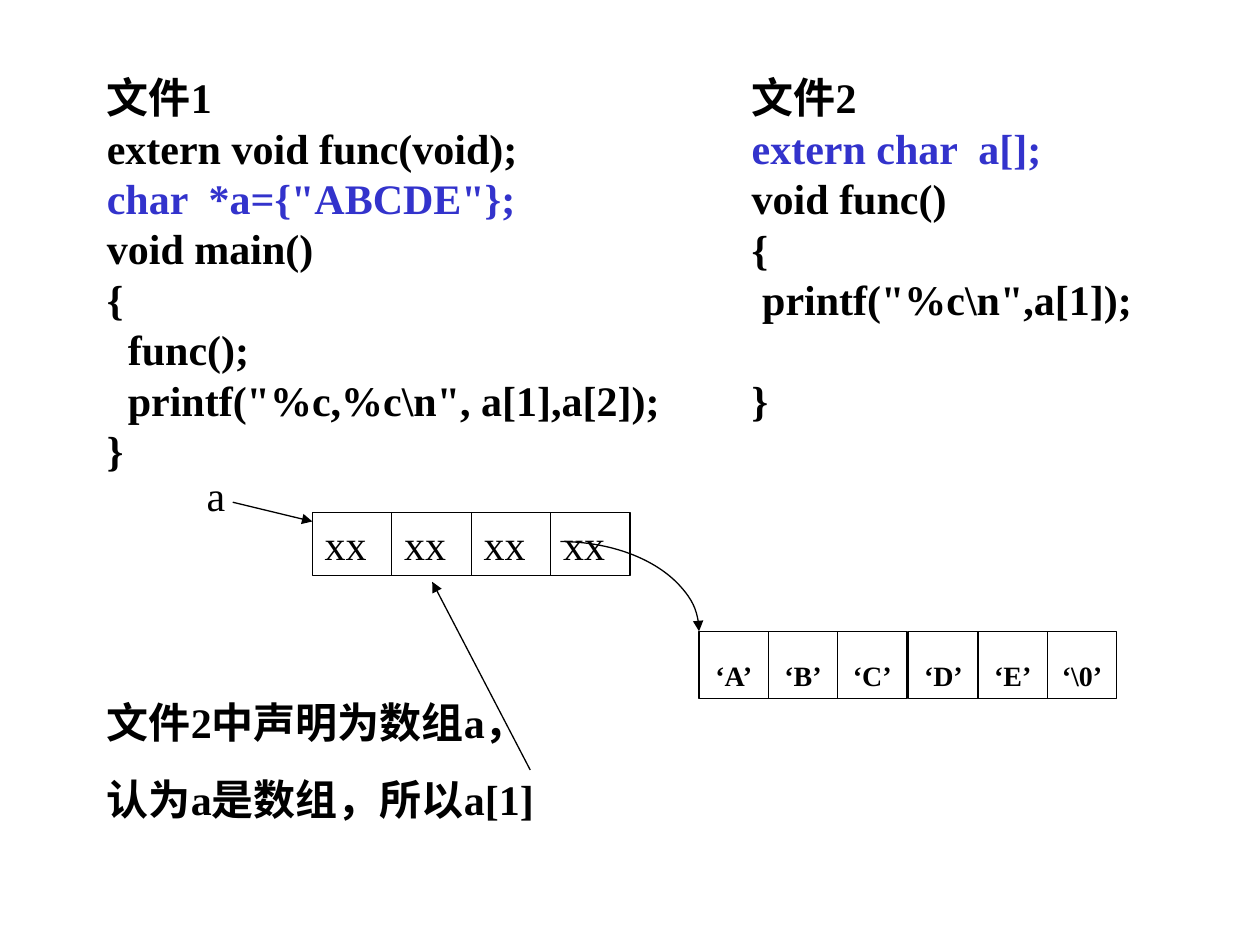
from lxml import etree
from pptx import Presentation
from pptx.dml.color import RGBColor
from pptx.enum.shapes import MSO_CONNECTOR, MSO_SHAPE
from pptx.enum.text import MSO_ANCHOR, PP_ALIGN
from pptx.oxml.ns import qn
from pptx.util import Pt

STRAIGHT = MSO_CONNECTOR.STRAIGHT
RECTANGLE, ARC = MSO_SHAPE.RECTANGLE, MSO_SHAPE.ARC
TOP = MSO_ANCHOR.TOP
LEFT, CENTER = PP_ALIGN.LEFT, PP_ALIGN.CENTER
FONT = "Times New Roman"
COLORS = {"ink": "000000", "declaration": "3333CC"}


def write(shape, lines, size=24, bold=True, align=LEFT, wrap=True, highlight=None):
    frame = shape.text_frame
    frame.word_wrap = wrap
    frame.vertical_anchor = TOP
    frame.text = "\n".join(lines)
    for line in frame.paragraphs:
        line.alignment = align
        color = COLORS["declaration" if line.text == highlight else "ink"]
        for run in line.runs:
            run.font.name = FONT
            run.font.size = Pt(size)
            run.font.bold = bold
            run.font.color.rgb = RGBColor.from_string(color)
    return frame.paragraphs


def outline(shape, arrow=False):
    shape.line.color.rgb = RGBColor.from_string(COLORS["ink"])
    shape.line.width = Pt(0.75)
    if arrow:
        etree.SubElement(shape.line._get_or_add_ln(), qn("a:tailEnd"), type="triangle")


prs = Presentation()
prs.slide_width, prs.slide_height = Pt(720), Pt(540)
slide = prs.slides.add_slide(prs.slide_layouts[6])
shapes = slide.shapes

file2_code = ["文件2", "extern char  a[];", "void func()", "{",
              ' printf("%c\\n",a[1]);', "}"]
file2 = shapes.add_textbox(Pt(422.5), Pt(37.5), Pt(247), Pt(209))
file2_lines = write(file2, file2_code, highlight=file2_code[1])
file2_lines[-1].space_before = Pt(28.8)

file1_code = ["文件1", "extern void func(void);", 'char  *a={"ABCDE"};',
              "void main()", "{", "  func();",
              '  printf("%c,%c\\n", a[1],a[2]);', "}"]
file1 = shapes.add_textbox(Pt(54), Pt(37.5), Pt(368.5), Pt(237.5))
write(file1, file1_code, highlight=file1_code[2])

explanation = shapes.add_textbox(Pt(54), Pt(394.5), Pt(278), Pt(80))
for line in write(explanation, ["文件2中声明为数组a，", "认为a是数组，所以a[1]"]):
    line.space_before = Pt(15)

pointer_cells = [(178.5 + 45.4 * i, 293, 45.4, 36, "xx") for i in range(4)]
string_cells = [(399.5 + 39.6 * i + (1 if i > 2 else 0), 361, 39.6, 38, f"‘{char}’")
                for i, char in enumerate(["A", "B", "C", "D", "E", "\\0"])]
for left, top, width, height, content in pointer_cells + string_cells:
    cell = shapes.add_shape(RECTANGLE, Pt(left), Pt(top), Pt(width), Pt(height))
    cell.shadow.inherit = False
    cell.fill.background()
    outline(cell)
    if content == "xx":
        write(cell, [content], bold=False)
    else:
        label = write(cell, [content], size=16, align=CENTER)[0]
        label.line_spacing = 1.6
        label.space_before = Pt(29)
        label.space_after = Pt(8)

pointer_name = shapes.add_textbox(Pt(111), Pt(264.5), Pt(25), Pt(36))
write(pointer_name, ["a"], bold=False, wrap=False)

for x1, y1, x2, y2 in [(303, 440, 247, 332.5), (133, 287, 178.5, 298)]:
    arrow = shapes.add_connector(STRAIGHT, Pt(x1), Pt(y1), Pt(x2), Pt(y2))
    outline(arrow, arrow=True)
    etree.SubElement(arrow._element.spPr, qn("a:effectLst"))

string_link = shapes.add_shape(ARC, Pt(241), Pt(309.5), Pt(158.5), Pt(102.5))
string_link.shadow.inherit = False
string_link.fill.background()
outline(string_link, arrow=True)

prs.save("out.pptx")
